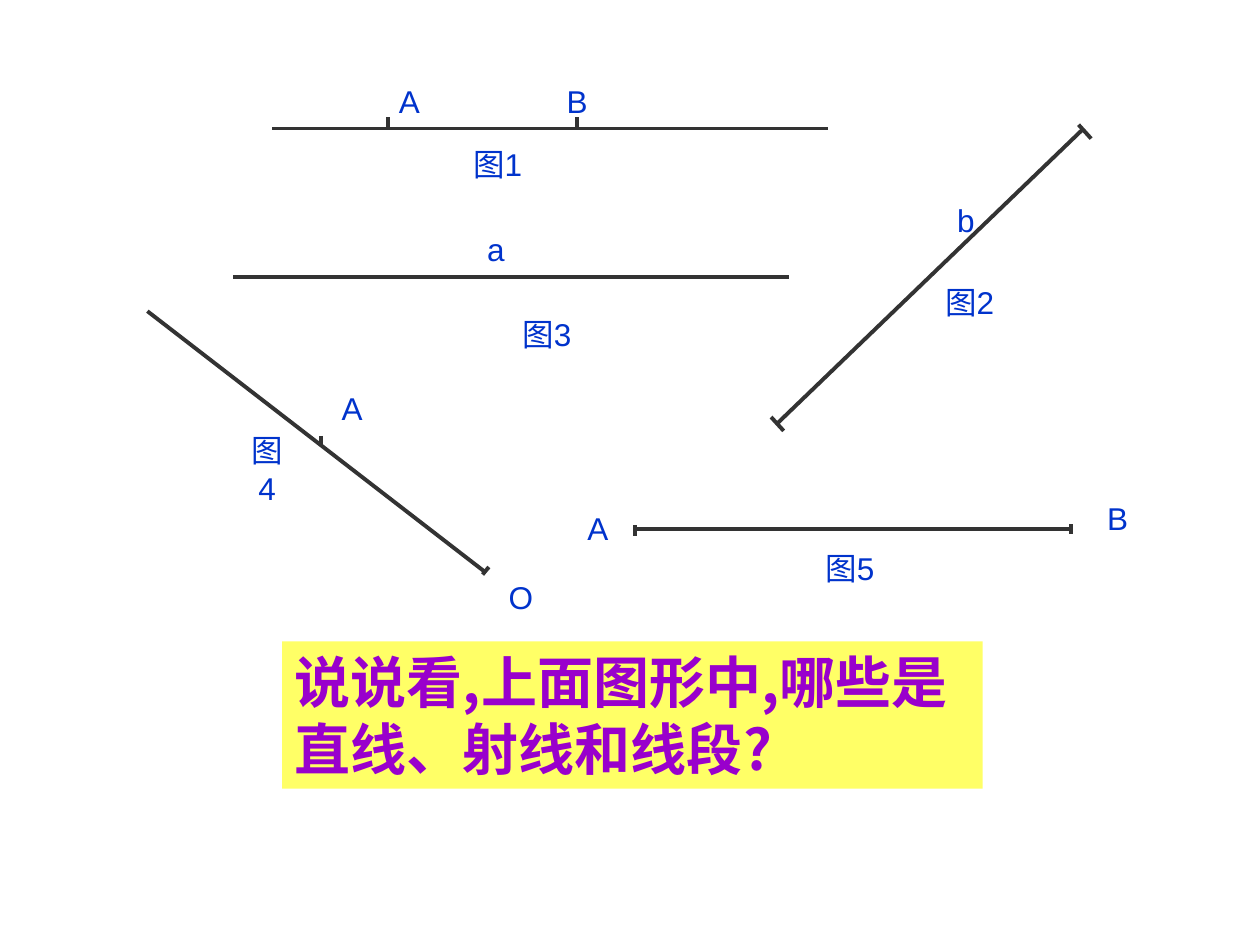
"""Build a geometry slide about lines, rays and segments."""
from dataclasses import dataclass

from lxml.etree import SubElement
from pptx import Presentation
from pptx.dml.color import RGBColor
from pptx.enum.shapes import MSO_CONNECTOR, MSO_SHAPE
from pptx.enum.text import MSO_ANCHOR, MSO_AUTO_SIZE, PP_ALIGN
from pptx.oxml.ns import qn
from pptx.util import Inches, Pt

INK = RGBColor(0x33, 0x33, 0x33)
LABEL_BLUE = RGBColor(0x00, 0x33, 0xCC)
QUESTION_PURPLE = RGBColor(0x99, 0x00, 0xCC)
PANEL_YELLOW = RGBColor(0xFF, 0xFF, 0x66)
LABEL_HEIGHT = 0.4


@dataclass(frozen=True)
class Stroke:
    """Straight stroke between two points, in inches."""
    x1: float
    y1: float
    x2: float
    y2: float


@dataclass(frozen=True)
class Label:
    """Text beside a figure, placed in inches."""
    text: str
    left: float
    top: float
    width: float
    height: float = LABEL_HEIGHT


@dataclass(frozen=True)
class Figure:
    """Numbered drawing made of strokes and labels."""
    strokes: tuple[Stroke, ...]
    labels: tuple[Label, ...]


def tick(x: float, top: float) -> Stroke:
    """Return a short upright mark."""
    return Stroke(x, top, x, top + 0.08)


def slanted_end(x: float, y: float) -> Stroke:
    """Return the end mark of the slanted segment."""
    return Stroke(x, y, x + 0.1, y + 0.11)


FIGURES = (
    Figure(
        (Stroke(2.16, 1.02, 6.57, 1.02), tick(4.58, 0.93), tick(3.08, 0.93)),
        (Label("A", 2.75, 0.6, 1), Label("B", 4.08, 0.6, 1), Label("图1", 3.49, 1.1, 0.92)),
    ),
    Figure(
        (Stroke(8.59, 1.03, 6.17, 3.36), slanted_end(8.56, 0.99), slanted_end(6.12, 3.31)),
        (Label("b", 7.33, 1.55, 0.67), Label("图2", 7.32, 2.2, 0.75)),
    ),
    Figure(
        (Stroke(1.85, 2.2, 6.26, 2.2),),
        (Label("a", 3.52, 1.78, 0.83), Label("图3", 3.84, 2.45, 1)),
    ),
    Figure(
        (Stroke(3.85, 4.54, 1.17, 2.47), Stroke(3.83, 4.56, 3.88, 4.5), tick(2.55, 3.46)),
        (Label("O", 3.8, 4.54, 0.67), Label("A", 2.46, 3.04, 0.67),
         Label("图4", 1.83, 3.37, 0.58, 0.7)),
    ),
    Figure(
        (Stroke(5.04, 4.2, 8.5, 4.2), tick(5.04, 4.17), tick(8.5, 4.16)),
        (Label("A", 4.37, 3.99, 0.75), Label("B", 8.62, 3.91, 0.5), Label("图5", 6.37, 4.31, 0.75)),
    ),
)


def write_text(shape, text: str, *, size: float, color: RGBColor, font: str = "Arial",
               bold: bool = False, align: PP_ALIGN = PP_ALIGN.CENTER,
               space_before: float = 11.2) -> None:
    """Fill a shape with one formatted paragraph."""
    frame = shape.text_frame
    frame.word_wrap = True
    frame.auto_size = MSO_AUTO_SIZE.SHAPE_TO_FIT_TEXT
    frame.vertical_anchor = MSO_ANCHOR.TOP
    paragraph = frame.paragraphs[0]
    paragraph.alignment = align
    paragraph.space_before = Pt(space_before)
    run = paragraph.add_run()
    run.text = text
    run.font.name = font
    run.font.size = Pt(size)
    run.font.bold = bold
    run.font.color.rgb = color
    SubElement(run.font._element, qn("a:ea")).set("typeface", font)


def draw_stroke(shapes, stroke: Stroke) -> None:
    """Draw a plain dark stroke."""
    ends = (Inches(value) for value in (stroke.x1, stroke.y1, stroke.x2, stroke.y2))
    connector = shapes.add_connector(MSO_CONNECTOR.STRAIGHT, *ends)
    connector.line.color.rgb = INK
    connector.line.width = Pt(2.24)
    SubElement(connector._element.spPr, qn("a:effectLst"))


def draw_label(shapes, label: Label) -> None:
    """Draw a centred blue label."""
    box = shapes.add_textbox(Inches(label.left), Inches(label.top),
                             Inches(label.width), Inches(label.height))
    write_text(box, label.text, size=18, color=LABEL_BLUE)


def draw_figure(slide, figure: Figure) -> None:
    """Draw a figure as one group."""
    group = slide.shapes.add_group_shape()
    for stroke in figure.strokes:
        draw_stroke(group.shapes, stroke)
    for label in figure.labels:
        draw_label(group.shapes, label)


def draw_question(slide) -> None:
    """Draw the question on its yellow panel."""
    panel = slide.shapes.add_shape(MSO_SHAPE.RECTANGLE, Inches(2.24), Inches(5.09),
                                   Inches(5.56), Inches(1.17))
    panel.shadow.inherit = False
    panel.fill.solid()
    panel.fill.fore_color.rgb = PANEL_YELLOW
    panel.line.fill.background()
    write_text(panel, "说说看,上面图形中,哪些是直线、射线和线段?".replace(",", ","),
               size=32, color=QUESTION_PURPLE, font="Noto Sans CJK JP", bold=True,
               align=PP_ALIGN.LEFT, space_before=20)


def main() -> None:
    """Build and save the slide."""
    deck = Presentation()
    deck.slide_width, deck.slide_height = Inches(10), Inches(7.5)
    slide = deck.slides.add_slide(deck.slide_layouts[6])
    draw_question(slide)
    for figure in FIGURES:
        draw_figure(slide, figure)
    deck.save("out.pptx")


main()
